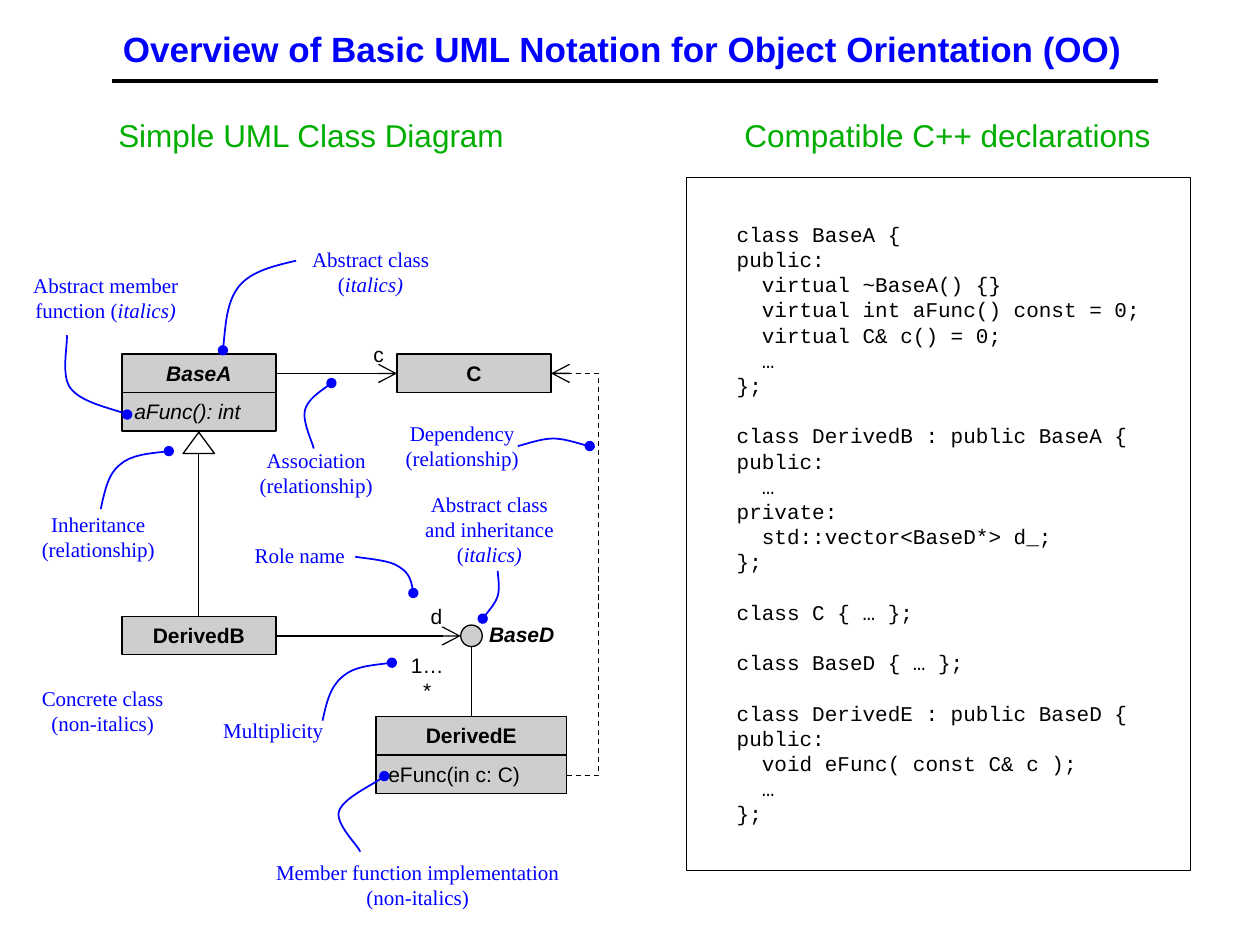
import pptx
import pptx.util
import pptx.dml.color
import pptx.enum.dml
import pptx.enum.shapes
import pptx.enum.text
import pptx.oxml
import pptx.oxml.ns
from lxml import etree

Pt = pptx.util.Pt
qn = pptx.oxml.ns.qn
SHAPE = pptx.enum.shapes.MSO_SHAPE
CONNECTOR = pptx.enum.shapes.MSO_CONNECTOR
ANCHOR = pptx.enum.text.MSO_ANCHOR
ALIGN = pptx.enum.text.PP_ALIGN

COLORS = {"ink": "000000", "note": "0000FF", "heading": "00AE00",
          "box": "CECECE", "paper": "FFFFFF"}
END_SIZES = {"arrow": "lg", "oval": "med"}
ROW_H = 22      # height of one class compartment
LEADING = 1.2   # line pitch relative to the font size

# ---- Content (lengths in points) ----
TITLE = "Overview of Basic UML Notation for Object Orientation (OO)"
HEADINGS = [("Simple UML Class Diagram", 60.5, 250),
            ("Compatible C++ declarations", 418.3, 262)]

# name, italic, left, top, width, member function
CLASSES = [("BaseA", True, 69.7, 202.3, 88, "aFunc(): int"),
           ("C", False, 226.9, 202.3, 88, None),
           ("DerivedB", False, 69.7, 352.2, 88, None),
           ("DerivedE", False, 214.8, 409.5, 109, "eFunc(in c: C)")]

# text, left, top, width, height, bold italic
ROLES = [("c", 205.9, 191.5, 20.9, 21.6, False),
         ("d", 239, 341.3, 20.9, 21.6, False),
         ("1…*", 225.4, 369.4, 37.4, 36, False),
         ("BaseD", 272.2, 351.4, 51.8, 21.6, True)]

# from, to, arrow at the end
RELATIONS = [((113.6, 352.2), (113.6, 259.2), False),
             ((157.7, 213.4), (226.9, 213.4), True),
             ((269.4, 409.5), (269.4, 369.5), False),
             ((157.7, 363.4), (263.3, 363.4), True)]

# lines ("|" starts italics), left, top, width, wraps, pointer curve
NOTES = [
    (["Inheritance", "(relationship)"], 23.8, 288.7, 64.8, False,
     [(57.6, 290.9), (59.8, 280.8), (61.9, 270.7), (68.4, 265.7),
      (74.9, 259.9), (85.7, 259.2), (96.5, 257.8)]),
    (["Abstract class", "(|italics)"], 178.3, 137.5, 67, False,
     [(169.2, 149), (157, 151.9), (144, 154.8), (136.8, 163.4),
      (129.6, 172.1), (128.9, 186.5), (127.4, 200.2)]),
    (["Concrete class", "(non-italics)"], 23.8, 388.1, 69.8, False, None),
    (["Abstract member function (|italics)"], 15.1, 152, 90.7, True,
     [(38.2, 191.5), (38.9, 196.6), (34.6, 214.6), (40.3, 221.8),
      (46.1, 229.7), (66.2, 234), (72.7, 236.9)]),
    (["Member function implementation", "(non-italics)"],
     157.7, 487.6, 162, False,
     [(205.9, 486.7), (204.5, 483.1), (191.5, 470.9), (193.7, 463.7),
      (195.8, 456.5), (214.6, 447.8), (219.6, 443.5)]),
    (["Association", "(relationship)"], 148.3, 252, 64.8, False,
     [(179.3, 256.3), (178.6, 252.7), (172.8, 241.2), (174.2, 234.7),
      (175.7, 228.2), (185.8, 221.8), (189.4, 218.9)]),
    (["Multiplicity"], 127.4, 406.3, 57.6, False,
     [(184.3, 411.8), (186.5, 401.8), (188.6, 392.4), (195.8, 386.6),
      (202.3, 380.9), (213.1, 380.2), (223.9, 378.7)]),
    (["Dependency", "(relationship)"], 231.8, 236.9, 64.8, False,
     [(295.9, 254.9), (299.5, 254.2), (308.9, 250.6), (316.1, 250.6),
      (322.6, 250.6), (332.6, 254.2), (337, 254.9)]),
    (["Abstract class", "and inheritance (|italics)"],
     229.7, 277.2, 100, True,
     [(284.4, 326.2), (284.4, 328.3), (285.8, 336.2), (284.4, 340.6),
      (283, 344.9), (277.9, 350.6), (275.8, 353.5)]),
    (["Role name"], 145.4, 306.7, 51.8, False,
     [(203, 318.2), (213.1, 319.7), (223.2, 320.4), (228.2, 324),
      (234, 327.6), (235.4, 333.4), (236.2, 338.9)]),
]

CODE = [
    ["class BaseA {", "public:", "  virtual ~BaseA() {}",
     "  virtual int aFunc() const = 0;", "  virtual C& c() = 0;", "  …", "};"],
    ["class DerivedB : public BaseA {", "public:", "  …", "private:",
     "  std::vector<BaseD*> d_;", "};"],
    ["class C { … };"],
    ["class BaseD { … };"],
    ["class DerivedE : public BaseD {", "public:",
     "  void eFunc( const C& c );", "  …", "};"],
]


# ---- Helpers ----
def rgb(name):
    return pptx.dml.color.RGBColor.from_string(COLORS[name])


def set_line(s, color, width, end=None, dash=None):
    s.line.color.rgb = rgb(color)
    s.line.width = Pt(width)
    if dash:
        s.line.dash_style = dash
    if end:
        ln = s._element.spPr.find(qn("a:ln"))
        size = END_SIZES[end]
        etree.SubElement(ln, qn("a:tailEnd"), type=end, w=size, len=size)


def add_shape(kind, x, y, w, h, fill=None):
    s = slide.shapes.add_shape(kind, Pt(x), Pt(y), Pt(w), Pt(h))
    s.shadow.inherit = False
    if fill:
        s.fill.solid()
        s.fill.fore_color.rgb = rgb(fill)
    else:
        s.fill.background()
    set_line(s, "ink", 0.75)
    return s


def add_line(start, end, width=0.75, head=None, dash=None, kind=CONNECTOR.STRAIGHT):
    s = slide.shapes.add_connector(kind, *(Pt(v) for v in start + end))
    set_line(s, "ink", width, head, dash)
    etree.SubElement(s._element.spPr, qn("a:effectLst"))
    return s


def add_curve(points):
    """Chain of Bezier segments: a start, then three points a segment."""
    pts = [(Pt(x), Pt(y)) for x, y in points]
    builder = slide.shapes.build_freeform(*pts[0], scale=1.0)
    builder.add_line_segments(pts[1:], close=False)
    s = builder.convert_to_shape()
    path = s._element.spPr.find(".//" + qn("a:path"))
    steps = path.findall(qn("a:lnTo"))
    for i in range(0, len(steps), 3):
        curve = etree.SubElement(path, qn("a:cubicBezTo"))
        for step in steps[i:i + 3]:
            curve.append(step[0])
            path.remove(step)
    s.shadow.inherit = False
    s.fill.background()
    set_line(s, "note", 1, "oval")


def write(s, lines, size=12, font="Arial", color="ink", bold=False, italic=False,
          align=ALIGN.CENTER, wrap=False, inset=(7.2, 3.6), anchor=ANCHOR.TOP):
    tf = s.text_frame
    tf.word_wrap = wrap
    tf.vertical_anchor = anchor
    tf.margin_left = tf.margin_right = Pt(inset[0])
    tf.margin_top = tf.margin_bottom = Pt(inset[1])
    for i, line in enumerate(lines):
        p = tf.paragraphs[0] if i == 0 else tf.add_paragraph()
        p.alignment = align
        p.line_spacing = Pt(size * LEADING)
        for j, part in enumerate(line.split("|")):
            r = p.add_run()
            r.text = part
            r.font.name, r.font.size = font, Pt(size)
            r.font.bold, r.font.italic = bold, italic or j == 1
            r.font.color.rgb = rgb(color)


def add_text(lines, x, y, w, h, **style):
    s = slide.shapes.add_textbox(Pt(x), Pt(y), Pt(w), Pt(h))
    write(s, lines, **style)


# ---- Slide ----
prs = pptx.Presentation()
prs.slide_width, prs.slide_height = Pt(720), Pt(540)
slide = prs.slides.add_slide(prs.slide_layouts[6])

# Title, rule and headings
add_line((64.2, 46.2), (661.8, 46.2), 2)
add_text([TITLE], 49.7, 10.1, 612, 35.3, size=20, color="note", bold=True,
         wrap=True, anchor=ANCHOR.MIDDLE)
for text, x, w in HEADINGS:
    add_text([text], x, 62.6, w, 28.8, size=18, color="heading",
             align=ALIGN.LEFT, wrap=True)

# Code panel, one blank line's space between declarations
panel = add_shape(SHAPE.RECTANGLE, 392.2, 101.3, 288, 396)
write(panel, [line for block in CODE for line in block], font="Courier New",
      align=ALIGN.LEFT, inset=(28.8, 25.2))
row = 0
for block in CODE[:-1]:
    row += len(block)
    panel.text_frame.paragraphs[row].space_before = Pt(12 * LEADING)

# Classes with their member functions
for name, italic, x, y, w, member in CLASSES:
    write(add_shape(SHAPE.RECTANGLE, x, y, w, ROW_H, "box"), [name],
          bold=True, italic=italic, wrap=True)
    if member:
        write(add_shape(SHAPE.RECTANGLE, x, y + ROW_H, w, ROW_H, "box"), [member],
              italic=italic, align=ALIGN.LEFT, wrap=True)

# Relationships
add_shape(SHAPE.ISOSCELES_TRIANGLE, 104.6, 247, 18, 12.2, "paper")
add_shape(SHAPE.OVAL, 263.3, 357.2, 12.3, 12.3, "box")
for start, end, arrow in RELATIONS:
    add_line(start, end, head="arrow" if arrow else None)
dependency = add_line((323.8, 443.1), (314.9, 213.4), head="arrow",
                      dash=pptx.enum.dml.MSO_LINE.DASH, kind=CONNECTOR.ELBOW)
geometry = dependency._element.spPr.find(qn("a:prstGeom"))
etree.SubElement(geometry.get_or_add_avLst(), qn("a:gd"),
                 name="adj1", fmla="val -205000")
for text, x, y, w, h, strong in ROLES:
    add_text([text], x, y, w, h, bold=strong, italic=strong, wrap=h > ROW_H)

# Notes and their pointers
for lines, x, y, w, wrap, curve in NOTES:
    add_text(lines, x, y, w, 7.2 + 14.4 * (len(lines) + wrap),
             font="Times New Roman", color="note", wrap=wrap, inset=(0, 3.6))
    if curve:
        add_curve(curve)

prs.save("out.pptx")
